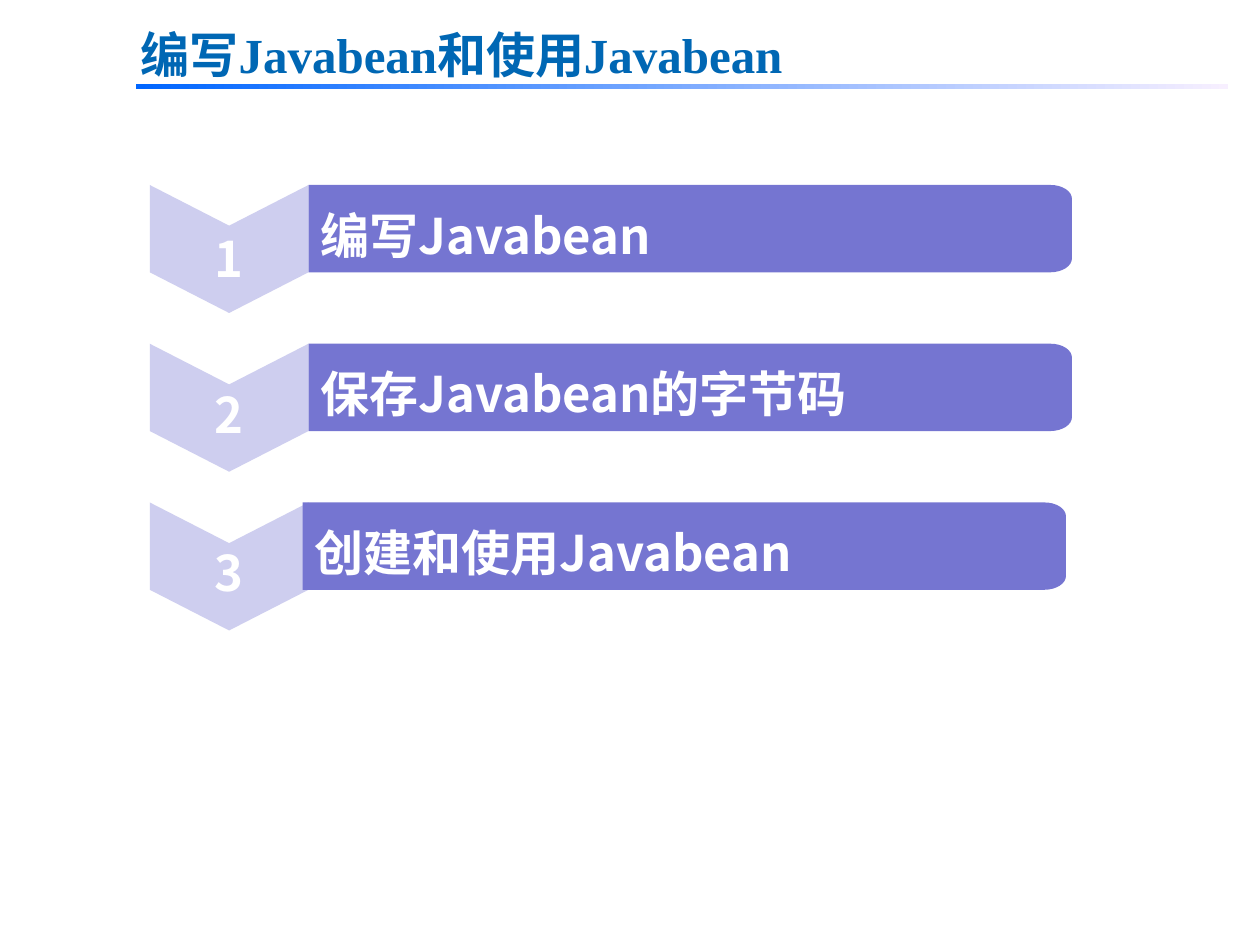
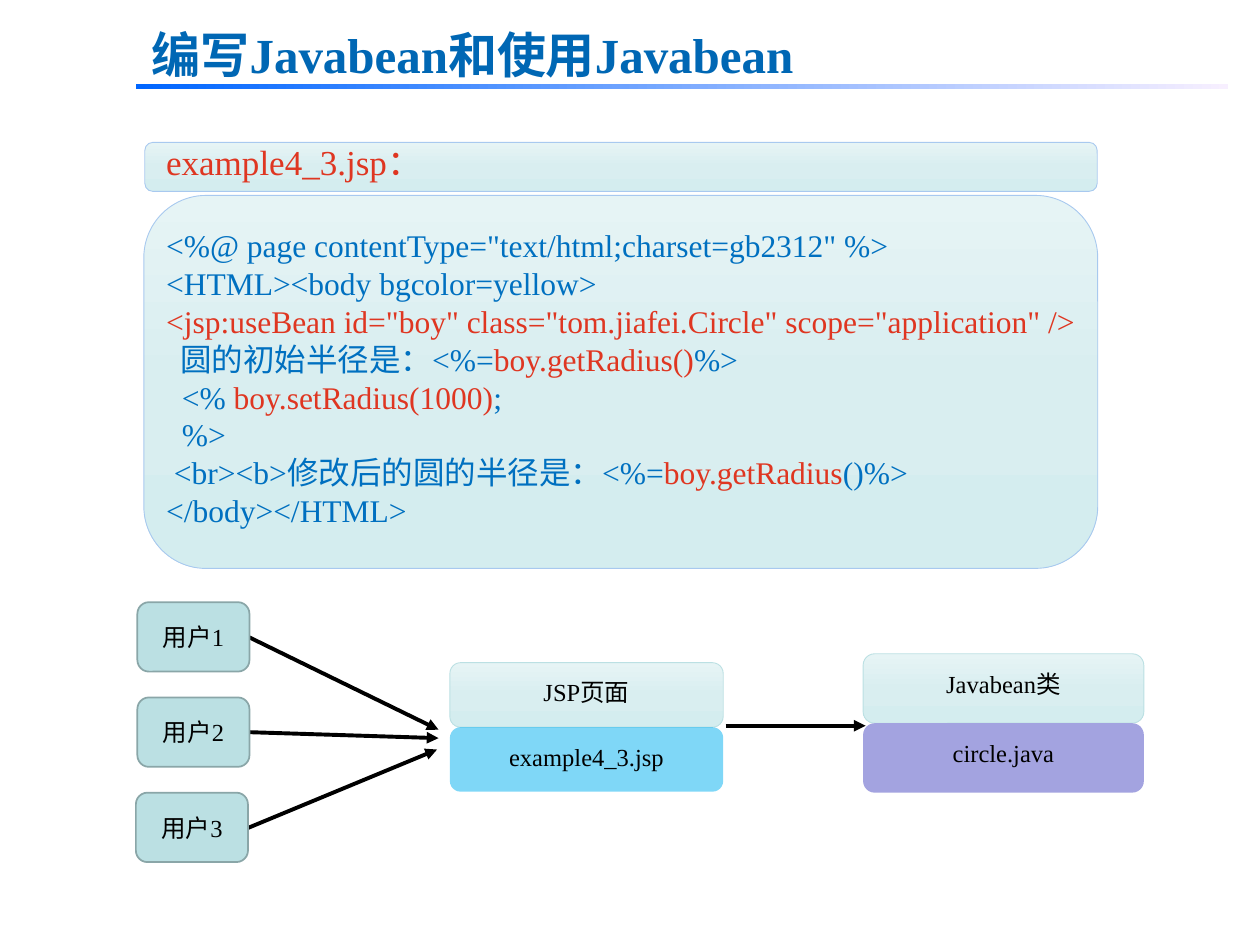
from dataclasses import dataclass
from math import cos, pi, sin

from lxml import etree
from pptx import Presentation
from pptx.dml.color import RGBColor
from pptx.enum.shapes import MSO_CONNECTOR, MSO_SHAPE
from pptx.enum.text import MSO_ANCHOR, PP_ALIGN
from pptx.oxml.ns import qn
from pptx.util import Cm, Pt

RECTANGLE = MSO_SHAPE.RECTANGLE
ROUNDED = MSO_SHAPE.ROUNDED_RECTANGLE
STRAIGHT = MSO_CONNECTOR.STRAIGHT
LEFT, CENTER = PP_ALIGN.LEFT, PP_ALIGN.CENTER
TOP, MIDDLE = MSO_ANCHOR.TOP, MSO_ANCHOR.MIDDLE


@dataclass(frozen=True)
class Theme:
    serif: str = "Times New Roman"
    sans: str = "Noto Sans CJK SC"
    title: str = "0067B4"
    code: str = "0070C0"
    accent: str = "DF3621"
    black: str = "000000"
    white: str = "FFFFFF"
    chevron: str = "CECEEF"
    bar: str = "7575D1"
    user: str = "BBE0E3"
    user_edge: str = "8AA6A8"
    panel_edge: str = "A8C9EF"
    jsp: str = "00B0F0"
    bean: str = "A3A3E0"
    rule: tuple = ((0, "0066FF"), (100, "F7EFFF"))
    panel: tuple = ((0, "E6F4F5"), (50, "D9EEF0"), (100, "D4EDEF"))
    title_size: int = 28
    heading_size: int = 20
    code_size: int = 18
    label_size: int = 14


theme = Theme()


def write(box, text, size=theme.label_size, color=theme.black, font=theme.serif,
          bold=False, align=LEFT, anchor=TOP, spacing=None, before=0,
          insets=(0.25, 0.13), more=False):
    frame = box.text_frame
    frame.word_wrap = True
    frame.vertical_anchor = anchor
    frame.margin_left = frame.margin_right = Cm(insets[0])
    frame.margin_top = frame.margin_bottom = Cm(insets[1])
    para = frame.add_paragraph() if more else frame.paragraphs[0]
    para.alignment = align
    if spacing:
        para.line_spacing = spacing
    if before:
        para.space_before = Pt(before)
    pieces = [(text, color)] if isinstance(text, str) else text
    for words, ink in pieces:
        span = para.add_run()
        span.text = words
        span.font.size = Pt(size)
        span.font.bold = bold
        span.font.color.rgb = RGBColor.from_string(ink)
        span.font.name = font
        east_asian = etree.SubElement(span.font._element, qn("a:ea"))
        east_asian.set("typeface", theme.sans)


def paint(shape, fill, edge=None, width=0.5, angle=270, opacity=None):
    shape.shadow.inherit = False
    if isinstance(fill, str):
        shape.fill.solid()
        shape.fill.fore_color.rgb = RGBColor.from_string(fill)
        if opacity:
            color = shape._element.spPr.find(".//" + qn("a:srgbClr"))
            etree.SubElement(color, qn("a:alpha")).set("val", str(opacity * 1000))
    else:
        shape.fill.gradient()
        shape.fill.gradient_angle = angle
        stops = shape._element.spPr.find(".//" + qn("a:gsLst"))
        for stop in list(stops):
            stops.remove(stop)
        for position, color in fill:
            stop = etree.SubElement(stops, qn("a:gs"), pos=str(position * 1000))
            etree.SubElement(stop, qn("a:srgbClr"), val=color)
    if edge:
        shape.line.color.rgb = RGBColor.from_string(edge)
        shape.line.width = Pt(width)
    else:
        shape.line.fill.background()
    return shape


deck = Presentation()
deck.slide_width, deck.slide_height = Cm(25.4), Cm(19.05)
pages = []
for title_left in (2.59, 2.81):
    page = deck.slides.add_slide(deck.slide_layouts[6])
    rule = page.shapes.add_shape(RECTANGLE, Cm(2.74), Cm(1.7), Cm(22.02), Cm(0.1))
    paint(rule, theme.rule, angle=0)
    title = page.shapes.add_textbox(Cm(title_left), Cm(0.36), Cm(18.52), Cm(1.45))
    write(title, "编写Javabean和使用Javabean", size=theme.title_size,
          color=theme.title, bold=True)
    pages.append(page)
agenda, example = pages

chevron_left, chevron_width, notch = 3.02, 3.2, 0.82
bar_width, bar_height = 15.39, 1.76
corner_width, corner_height = 0.43, 0.28
quarter = [step * pi / 16 for step in range(9)]
steps = [("编写Javabean", 6.22, 1.3),
         ("保存Javabean的字节码", 6.22, 1.2),
         ("创建和使用Javabean", 6.1, 1.2)]

for index, (label, bar_left, number_spacing) in enumerate(steps):
    top = 3.73 + 3.2 * index
    bottom = top + bar_height
    middle = chevron_left + chevron_width / 2
    chevron_right = chevron_left + chevron_width
    chevron_points = [(chevron_left, top), (middle, top + notch), (chevron_right, top),
                      (chevron_right, bottom), (middle, bottom + notch),
                      (chevron_left, bottom)]

    bar_right = bar_left + bar_width
    center = bar_right - corner_width
    upper = [(center + corner_width * sin(turn),
              top + corner_height * (1 - cos(turn))) for turn in quarter]
    lower = [(x, top + bottom - y) for x, y in reversed(upper)]
    bar_points = [(bar_left, top), *upper, *lower, (bar_left, bottom)]

    for points, fill, text, align, spacing, inset in (
            (chevron_points, theme.chevron, str(index + 1), CENTER, number_spacing, 0),
            (bar_points, theme.bar, label, LEFT, 1.2, 0.25)):
        corners = [(Cm(x), Cm(y)) for x, y in points]
        outline = agenda.shapes.build_freeform(*corners[0], scale=1.0)
        outline.add_line_segments(corners[1:], close=True)
        shape = paint(outline.convert_to_shape(), fill)
        write(shape, text, size=theme.title_size, color=theme.white, font=theme.sans,
              bold=True, align=align, anchor=MIDDLE, spacing=spacing, insets=(inset, 0))

for left, top, width, height in ((2.92, 2.87, 19.2, 0.99), (2.9, 3.94, 19.23, 7.52)):
    panel = example.shapes.add_shape(ROUNDED, Cm(left), Cm(top), Cm(width), Cm(height))
    paint(panel, theme.panel, theme.panel_edge)

code_lines = [
    '<%@ page contentType="text/html;charset=gb2312" %>',
    "<HTML><body bgcolor=yellow>",
    [('<jsp:useBean id="boy" class="tom.jiafei.Circle" scope="application" />',
      theme.accent)],
    [("  圆的初始半径是：<%=", theme.code), ("boy.getRadius()", theme.accent),
     ("%>", theme.code)],
    [("  <% ", theme.code), ("boy.setRadius(1000)", theme.accent), (";", theme.code)],
    "  %>",
    [(" <br><b>修改后的圆的半径是：<%=", theme.code), ("boy.getRadius", theme.accent),
     ("()%>", theme.code)],
    "</body></HTML>",
]
listing = example.shapes.add_textbox(Cm(3.1), Cm(2.67), Cm(19.69), Cm(7.06))
write(listing, "example4_3.jsp：", size=theme.heading_size, color=theme.accent,
      spacing=Pt(25))
for index, line in enumerate(code_lines):
    write(listing, line, size=theme.code_size, color=theme.code, spacing=Pt(21.6),
          before=0 if index else 25, more=True)

arrows = [(5.03, 12.85, 8.84, 14.71), (5.03, 14.76, 8.84, 14.88),
          (5.0, 16.69, 8.81, 15.11), (14.63, 14.63, 17.45, 14.63)]
for ends in arrows:
    arrow = example.shapes.add_connector(STRAIGHT, *[Cm(value) for value in ends])
    arrow.line.color.rgb = RGBColor.from_string(theme.black)
    arrow.line.width = Pt(2.25)
    etree.SubElement(arrow.line._get_or_add_ln(), qn("a:tailEnd"), type="triangle")
    etree.SubElement(arrow._element.spPr, qn("a:effectLst"))

for index, left in enumerate((2.77, 2.77, 2.74)):
    user = example.shapes.add_shape(ROUNDED, Cm(left), Cm(12.14 + 1.92 * index),
                                    Cm(2.26), Cm(1.4))
    paint(user, theme.user, theme.user_edge, width=1)
    write(user, f"用户{index + 1}", align=CENTER, anchor=MIDDLE)

stacks = [("JSP页面", "example4_3.jsp", 9.07, 13.36, 5.51, 1.3, theme.jsp, 50),
          ("Javabean类", "circle.java", 17.4, 13.18, 5.66, 1.4, theme.bean, None)]
for heading, file_name, left, top, width, height, fill, opacity in stacks:
    for row, text in enumerate((heading, file_name)):
        box = example.shapes.add_shape(ROUNDED, Cm(left), Cm(top + row * height),
                                       Cm(width), Cm(height))
        if row:
            paint(box, fill, opacity=opacity)
        else:
            paint(box, theme.panel, theme.user)
        write(box, text, align=CENTER, insets=(0.25, 0.23))

deck.save("out.pptx")
